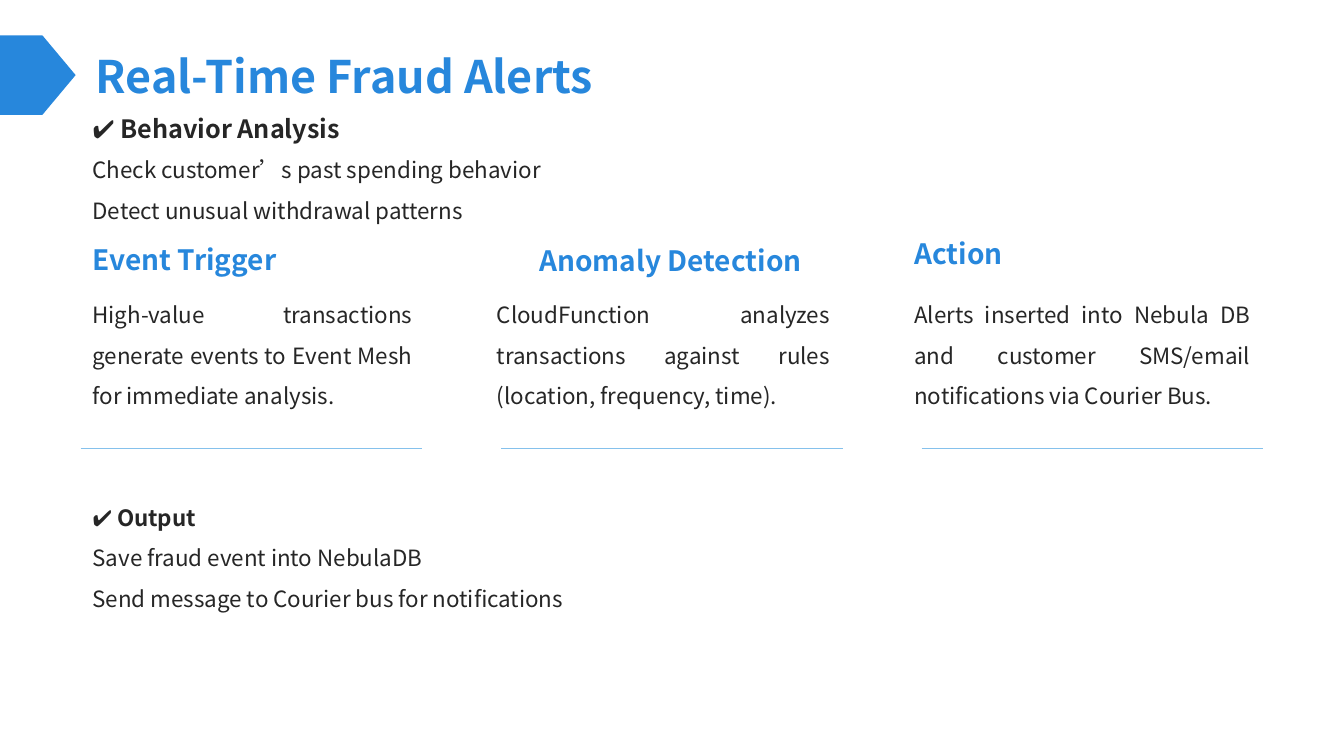
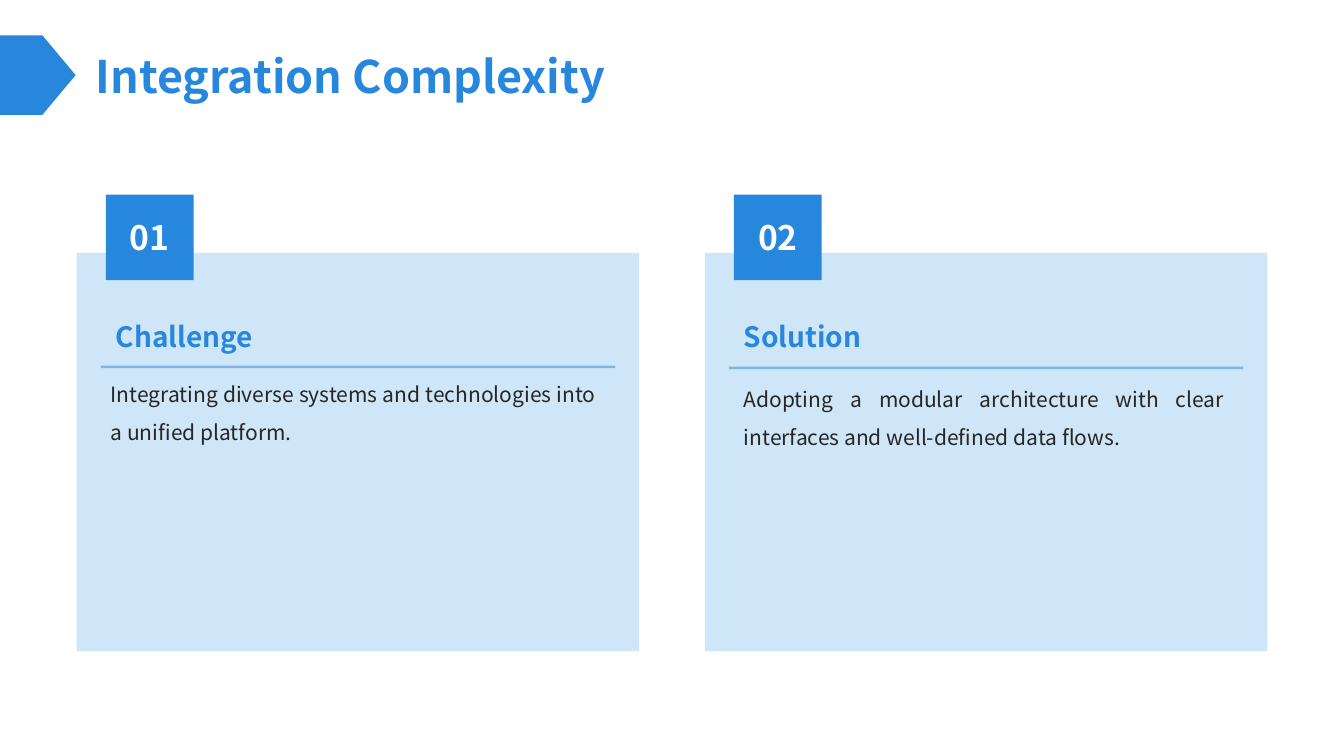
from pptx import Presentation
from pptx.dml.color import RGBColor
from pptx.enum.shapes import MSO_CONNECTOR, MSO_SHAPE
from pptx.enum.text import MSO_ANCHOR, PP_ALIGN
from pptx.oxml.ns import qn
from pptx.util import Emu, Pt
from lxml import etree

PX = 9144
FONT = "Noto Sans CJK SC"
BLUE, PANEL, RULE, INK, WHITE = "2787DC", "CEE6F7", "85C1EC", "262626", "FFFFFF"
TOP, MIDDLE = MSO_ANCHOR.TOP, MSO_ANCHOR.MIDDLE
LEFT, CENTER, JUSTIFY = PP_ALIGN.LEFT, PP_ALIGN.CENTER, PP_ALIGN.JUSTIFY
RECTANGLE, PENTAGON = MSO_SHAPE.RECTANGLE, MSO_SHAPE.PENTAGON
STRAIGHT = MSO_CONNECTOR.STRAIGHT


def px(*lengths):
    return [Emu(length * PX) for length in lengths]


def color(value):
    return RGBColor.from_string(value)


def style(paragraph, size, ink, bold=False, align=LEFT, spacing=1.0):
    paragraph.alignment = align
    paragraph.line_spacing = spacing
    font = paragraph.font
    font.name, font.size, font.bold = FONT, Pt(size), bold
    font.color.rgb = color(ink)


def add_text(slide, box, lines, anchor=TOP):
    frame = slide.shapes.add_textbox(*px(*box)).text_frame
    frame.word_wrap = True
    frame.vertical_anchor = anchor
    for index, (text, look) in enumerate(lines):
        paragraph = frame.add_paragraph() if index else frame.paragraphs[0]
        paragraph.add_run().text = text
        style(paragraph, **look)


def add_block(slide, box, fill, preset=RECTANGLE):
    block = slide.shapes.add_shape(preset, *px(*box))
    block.shadow.inherit = False
    block.fill.solid()
    block.fill.fore_color.rgb = color(fill)
    block.line.fill.background()
    return block


def add_rule(slide, left, top, width, ink, weight, opacity=100):
    rule = slide.shapes.add_connector(STRAIGHT, *px(left, top, left + width, top))
    rule.line.color.rgb = color(ink)
    rule.line.width = Pt(weight)
    properties = rule._element.spPr
    if opacity < 100:
        ink_element = properties.find(".//" + qn("a:srgbClr"))
        etree.SubElement(ink_element, qn("a:alpha")).set("val", str(opacity * 1000))
    etree.SubElement(properties, qn("a:effectLst"))


def titled_slide(deck, title):
    slide = deck.slides.add_slide(deck.slide_layouts[6])
    marker = add_block(slide, (0, 35, 75, 79), BLUE, PENTAGON)
    marker.adjustments[0] = 0.44
    add_text(slide, (85, 35, 1181, 79),
             [(title, dict(size=32, ink=BLUE, bold=True))], MIDDLE)
    return slide


def check_list(slide, box, heading, heading_size, items):
    lines = [("✔ " + heading, dict(size=heading_size, ink=INK, bold=True, spacing=1.5))]
    lines += [(item, dict(size=16, ink=INK, spacing=1.5)) for item in items]
    add_text(slide, box, lines)


def stage_column(slide, box, heading, heading_at, heading_spacing, body):
    left, top, width, height = box
    indent, rise = heading_at
    add_text(slide, (left + indent, top - rise, width - indent, 44),
             [(heading, dict(size=20, ink=BLUE, bold=True, spacing=heading_spacing))])
    add_text(slide, box,
             [(body, dict(size=16, ink=INK, align=JUSTIFY, spacing=1.5))])


def numbered_card(slide, box, number, heading, body, body_at, rule_drop):
    left, top, width, height = box
    add_block(slide, box, PANEL)
    badge = add_block(slide, (left + 29, top - 58, 87, 85), BLUE)
    badge.text_frame.vertical_anchor = MIDDLE
    label = badge.text_frame.paragraphs[0]
    label.add_run().text = number
    style(label, 24, WHITE, True, CENTER)
    add_rule(slide, left + 24, top + rule_drop, width - 48, BLUE, 1.75, 50)
    add_text(slide, (left + 29, top + 55, 496, 59),
             [(heading, dict(size=20, ink=BLUE, bold=True, spacing=0.9))], MIDDLE)
    indent, drop = body_at
    add_text(slide, (left + indent, top + drop, 525 - indent, 240),
             [(body, dict(size=15, ink=INK, align=JUSTIFY, spacing=1.5))])


def fraud_alerts(deck):
    slide = titled_slide(deck, "Real-Time Fraud Alerts")
    check_list(slide, (82, 92, 693, 132), "Behavior Analysis", 18,
               ["Check customer’s past spending behavior",
                "Detect unusual withdrawal patterns"])
    stages = [
        (82, 337, "Event Trigger", (0, 45), 1.0,
         "High-value transactions generate events to Event Mesh for immediate analysis."),
        (483, 350, "Anomaly Detection", (42, 48), 1.1,
         "CloudFunction analyzes transactions against rules (location, frequency, time)."),
        (897, 353, "Action", (0, 55), 1.1,
         "Alerts inserted into Nebula DB and customer SMS/email notifications via Courier Bus."),
    ]
    for index, (left, width, *content) in enumerate(stages):
        stage_column(slide, (left, 281, width, 144), *content)
        add_rule(slide, 80 + 417 * index, 445, 339, RULE, 0.75)
    check_list(slide, (82, 482, 675, 162), "Output", 16,
               ["Save fraud event into NebulaDB",
                "Send message to Courier bus for notifications"])


def integration_complexity(deck):
    slide = titled_slide(deck, "Integration Complexity")
    cards = [
        ("01", "Challenge",
         "Integrating diverse systems and technologies into a unified platform.",
         (24, 110), 113),
        ("02", "Solution",
         "Adopting a modular architecture with clear interfaces and well-defined data flows.",
         (29, 115), 114),
    ]
    for index, card in enumerate(cards):
        numbered_card(slide, (76 + 623 * index, 251, 558, 395), *card)


def main():
    deck = Presentation()
    deck.slide_width, deck.slide_height = px(1333, 750)
    fraud_alerts(deck)
    integration_complexity(deck)
    deck.save("out.pptx")


if __name__ == "__main__":
    main()
